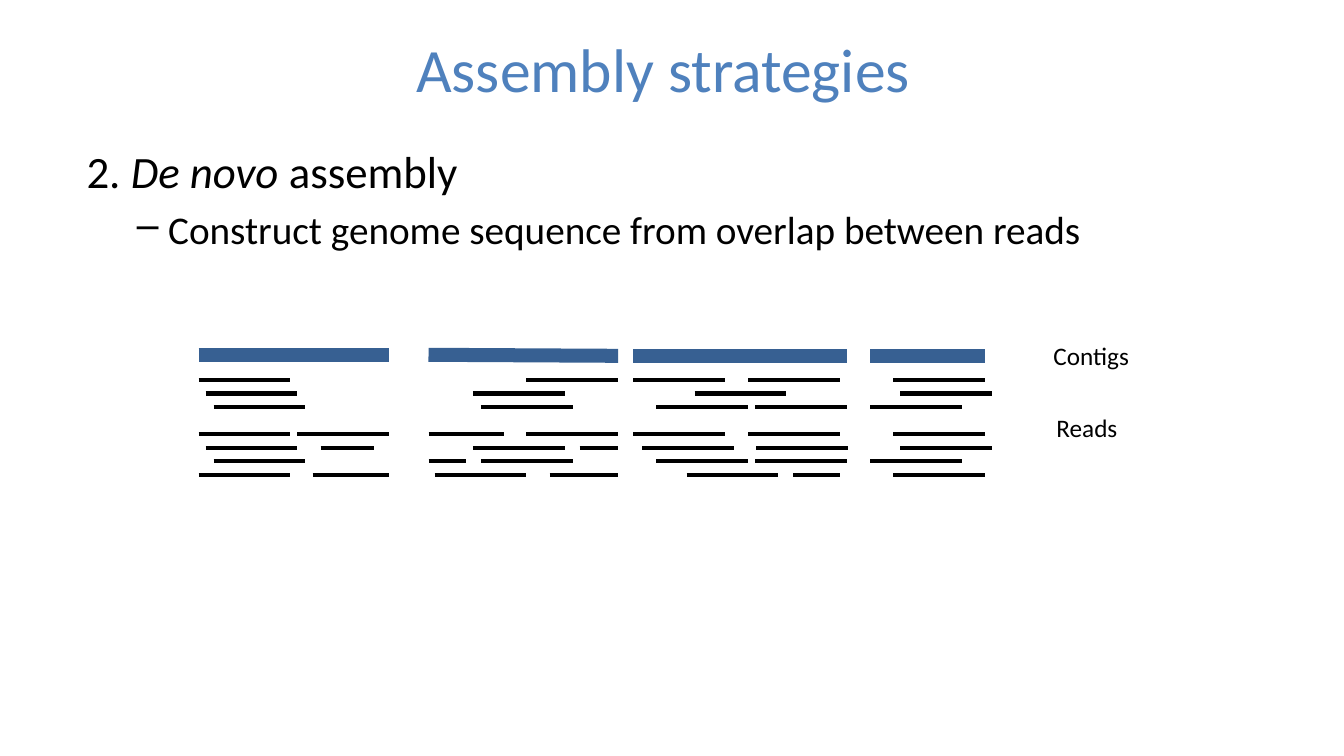
from lxml.etree import SubElement
from pptx import Presentation
from pptx.dml.color import RGBColor
from pptx.enum.shapes import MSO_CONNECTOR
from pptx.enum.text import MSO_ANCHOR as Anchor, PP_ALIGN as Align
from pptx.oxml.ns import qn
from pptx.util import Inches, Pt

TITLE_BLUE = RGBColor(0x4F, 0x81, 0xBD)
CONTIG_BLUE = RGBColor(0x37, 0x60, 0x92)
BLACK = RGBColor(0, 0, 0)
FONT = "Calibri"

READ_LENGTH = 0.91
ROW_PITCH = 0.94 / 7

# Start and length, then height of both ends below the diagram's top
CONTIGS = [
    (0, 1.89, 0, 0),
    (2.28, 1.88, 0, 0.01),
    (4.31, 2.12, 0.01, 0.01),
    (6.66, 1.14, 0.01, 0.01),
]

# Starts of the reads by row; a pair gives start and a shorter length
READ_ROWS = {
    0: [0, 3.25, 4.31, 5.45, 6.89],
    1: [0.07, 2.72, 4.92, 6.96],
    2: [0.15, 2.8, 4.54, 5.52, 6.66],
    4: [0, 0.98, (2.28, 0.75), 3.25, 4.31, 5.45, 6.89],
    5: [0.07, (1.21, 0.53), 2.72, (3.78, 0.38), 4.4, 5.53, 6.96],
    6: [0.15, (2.28, 0.37), 2.8, 4.54, 5.52, 6.66],
    7: [0, (1.13, 0.76), 2.34, (3.48, 0.68), 4.84, (5.9, 0.46), 6.89],
}


def style(paragraph, size, color=BLACK):
    paragraph.font.name = FONT
    paragraph.font.size = Pt(size)
    paragraph.font.color.rgb = color


def add_text_frame(slide, left, top, width, height):
    box = slide.shapes.add_textbox(
        Inches(left), Inches(top), Inches(width), Inches(height))
    box.text_frame.word_wrap = True
    return box.text_frame


def add_line(slide, start, end, color, weight):
    line = slide.shapes.add_connector(
        MSO_CONNECTOR.STRAIGHT, *map(Inches, start + end))
    line.line.color.rgb = color
    line.line.width = Pt(weight)
    SubElement(line._element.spPr, qn("a:effectLst"))


def add_title(slide, left, top, width, height):
    frame = add_text_frame(slide, left, top, width, height)
    frame.vertical_anchor = Anchor.MIDDLE
    paragraph = frame.paragraphs[0]
    paragraph.text = "Assembly strategies"
    paragraph.alignment = Align.CENTER
    style(paragraph, 44, TITLE_BLUE)


def add_body(slide, left, top, width, height):
    frame = add_text_frame(slide, left, top, width, height)
    heading = frame.paragraphs[0]
    for text, italic in (("2. ", False), ("De novo", True), (" assembly", False)):
        run = heading.add_run()
        run.text = text
        run.font.italic = italic
    style(heading, 32)

    # Dashed second-level point
    point = frame.add_paragraph()
    point.text = "Construct genome sequence from overlap between reads"
    point.level = 1
    point.space_before = Pt(5.6)
    properties = point._p.get_or_add_pPr()
    properties.set("marL", str(Inches(0.81)))
    properties.set("indent", str(Inches(-0.31)))
    SubElement(properties, qn("a:buChar")).set("char", "–")
    style(point, 28)


def add_reads(slide, left, top):
    for row, reads in READ_ROWS.items():
        y = top + row * ROW_PITCH
        for read in reads:
            start, length = read if isinstance(read, tuple) else (read, READ_LENGTH)
            x = left + start
            add_line(slide, (x, y), (x + length, y), BLACK, 3)


def add_contigs(slide, left, top):
    for start, length, drop_start, drop_end in CONTIGS:
        x = left + start
        add_line(slide, (x, top + drop_start), (x + length, top + drop_end),
                 CONTIG_BLUE, 10)


def add_label(slide, text, left, top, width, height):
    paragraph = add_text_frame(slide, left, top, width, height).paragraphs[0]
    paragraph.text = text
    style(paragraph, 18)


def add_assembly_diagram(slide, left, top):
    add_reads(slide, left, top + 0.25)
    add_contigs(slide, left, top)
    add_label(slide, "Contigs", left + 8.38, top - 0.19, 1.71, 0.4)
    add_label(slide, "Reads", left + 8.41, top + 0.52, 1.83, 0.4)


def main():
    presentation = Presentation()
    presentation.slide_width = Inches(13.33)
    presentation.slide_height = Inches(7.5)
    slide = presentation.slides.add_slide(presentation.slide_layouts[6])
    add_title(slide, 0.58, 0.05, 12, 1.25)
    add_body(slide, 0.76, 1.38, 11.08, 3.95)
    add_assembly_diagram(slide, 1.97, 3.52)
    presentation.save("out.pptx")


if __name__ == "__main__":
    main()
